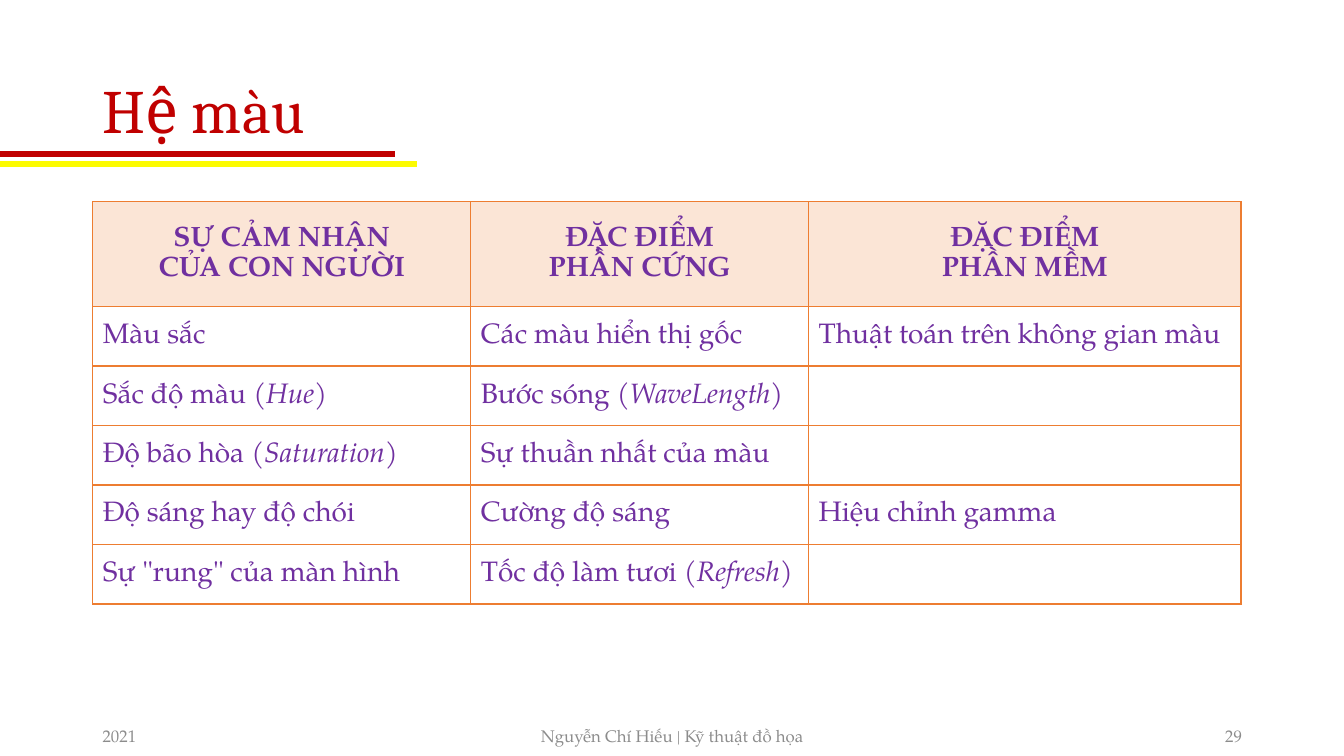
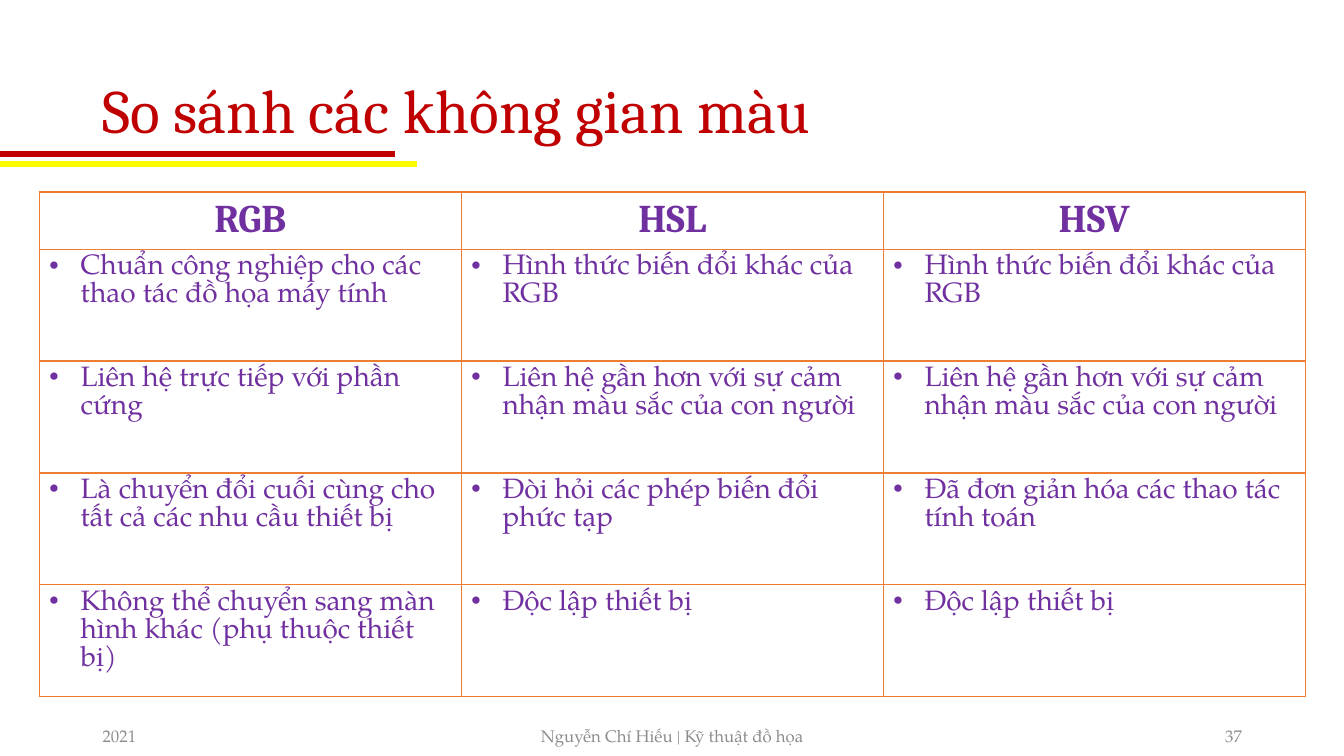
from lxml import etree
from pptx import Presentation
from pptx.dml.color import RGBColor
from pptx.enum.shapes import MSO_CONNECTOR
from pptx.enum.text import MSO_ANCHOR, PP_ALIGN
from pptx.oxml.ns import qn
from pptx.util import Inches, Pt

LEFT, MID, RIGHT = PP_ALIGN.LEFT, PP_ALIGN.CENTER, PP_ALIGN.RIGHT
TOP, CENTER = MSO_ANCHOR.TOP, MSO_ANCHOR.MIDDLE
LINE = MSO_CONNECTOR.STRAIGHT

RED, YELLOW, PURPLE = "C00000", "FCFB01", "7030A0"
ORANGE, PEACH, GREY = "ED7D31", "FBE5D6", "8C8C8C"
SERIF, BODY = "Cambria", "TeX Gyre Pagella"

deck = Presentation()
deck.slide_width, deck.slide_height = Inches(13.33), Inches(7.5)
COL, ROW = deck.slide_width / 100, deck.slide_height / 100

# Text styles: font values, paragraph values, colour
TITLE = ({"name": SERIF, "size": Pt(44)}, {"line_spacing": 0.9}, RED)
NOTE = {"name": BODY, "size": Pt(12)}
PLAIN = {"name": BODY, "size": Pt(20), "bold": False}
BOLD = {"name": BODY, "size": Pt(20), "bold": True}
LARGE = {"name": SERIF, "size": Pt(28), "bold": True}
LOOSE = {"line_spacing": 1.07, "space_after": Pt(8)}

# Left, width and alignment of the footers, in columns
FEET = [(6.9, 22.5, LEFT), (33.15, 33.75, MID), (70.65, 22.5, RIGHT)]
# Row and right end of each rule under the title
RULES = [(21.69, 31.05, YELLOW), (20.4, 29.4, RED)]

SLIDES = [
    {
        "title": "Hệ màu", "page": "29", "at": (6.9, 26.67),
        "cols": [28.13, 25.13, 32.18], "rows": [13.87] + [7.87] * 5,
        "head": (BOLD, {"alignment": MID, **LOOSE}, PURPLE),
        "body": (PLAIN, LOOSE, PURPLE),
        "fill": PEACH, "anchor": CENTER, "bullet": False,
        "cells": [
            ["SỰ CẢM NHẬN\vCỦA CON NGƯỜI", "ĐẶC ĐIỂM\vPHẦN CỨNG", "ĐẶC ĐIỂM\vPHẦN MỀM"],
            ["Màu sắc", "Các màu hiển thị gốc", "Thuật toán trên không gian màu"],
            ["Sắc độ màu *(Hue)", "Bước sóng *(WaveLength)", ""],
            ["Độ bão hòa *(Saturation)", "Sự thuần nhất của màu", ""],
            ["Độ sáng hay độ chói", "Cường độ sáng", "Hiệu chỉnh gamma"],
            ['Sự "rung" của màn hình', "Tốc độ làm tươi *(Refresh)", ""],
        ],
    },
    {
        "title": "So sánh các không gian màu", "page": "37", "at": (2.92, 25.4),
        "cols": [31.4] * 3, "rows": [7.4] + [14.8] * 4,
        "head": (LARGE, {"alignment": MID}, PURPLE),
        "body": (PLAIN, {}, PURPLE),
        "fill": None, "anchor": TOP, "bullet": True,
        "cells": [
            ["RGB", "HSL", "HSV"],
            ["Chuẩn công nghiệp cho các thao tác đồ họa máy tính",
             "Hình thức biến đổi khác của RGB",
             "Hình thức biến đổi khác của RGB"],
            ["Liên hệ trực tiếp với phần cứng",
             "Liên hệ gần hơn với sự cảm nhận màu sắc của con người",
             "Liên hệ gần hơn với sự cảm nhận màu sắc của con người"],
            ["Là chuyển đổi cuối cùng cho tất cả các nhu cầu thiết bị",
             "Đòi hỏi các phép biến đổi phức tạp",
             "Đã đơn giản hóa các thao tác tính toán"],
            ["Không thể chuyển sang màn hình khác (phụ thuộc thiết bị)",
             "Độc lập thiết bị", "Độc lập thiết bị"],
        ],
    },
]


def paint(fill, tone):
    fill.solid()
    fill.fore_color.rgb = RGBColor.from_string(tone)


def write(frame, text, style):
    """Fill the first paragraph; what follows an asterisk is italic."""
    font, para, tone = style
    line = frame.paragraphs[0]
    line.text, _, tail = text.partition("*")
    if tail:
        run = line.add_run()
        run.text, run.font.italic = tail, True
    for key, val in para.items():
        setattr(line, key, val)
    for run in line.runs:
        paint(run.font.fill, tone)
        for key, val in font.items():
            setattr(run.font, key, val)


for data in SLIDES:
    slide = deck.slides.add_slide(deck.slide_layouts[6])

    for y, end, tone in RULES:
        rule = slide.shapes.add_connector(
            LINE, 0, round(y * ROW), round(end * COL), round(y * ROW))
        rule.line.width = Pt(4.25)
        paint(rule.line.fill, tone)
        etree.SubElement(rule._element.spPr, qn("a:effectLst"))

    # Title and footers
    texts = [(data["title"], 6.9, 5.33, 86.25, 19.33, TITLE)]
    words = ["2021", "Nguyễn Chí Hiếu | Kỹ thuật đồ họa", data["page"]]
    for word, (x, wide, side) in zip(words, FEET):
        texts.append((word, x, 94.67, wide, 5.33, (NOTE, {"alignment": side}, GREY)))
    for word, x, y, wide, high, style in texts:
        box = slide.shapes.add_textbox(
            round(x * COL), round(y * ROW), round(wide * COL), round(high * ROW))
        box.text_frame.word_wrap = True
        box.text_frame.vertical_anchor = CENTER
        write(box.text_frame, word, style)

    # Table
    x, y = data["at"]
    cols, rows = data["cols"], data["rows"]
    table = slide.shapes.add_table(
        len(rows), len(cols), round(x * COL), round(y * ROW),
        round(sum(cols) * COL), round(sum(rows) * ROW)).table
    table.first_row = table.horz_banding = False
    for col, wide in zip(table.columns, cols):
        col.width = round(wide * COL)
    for row, high in zip(table.rows, rows):
        row.height = round(high * ROW)

    for r, words in enumerate(data["cells"]):
        for c, word in enumerate(words):
            cell = table.cell(r, c)
            cell.vertical_anchor = data["anchor"]
            if r == 0 and data["fill"]:
                paint(cell.fill, data["fill"])
            else:
                cell.fill.background()
            props = cell._tc.get_or_add_tcPr()
            for i, side in enumerate(("a:lnL", "a:lnR", "a:lnT", "a:lnB")):
                edge = etree.Element(qn(side), w=str(Pt(1)))
                solid = etree.SubElement(edge, qn("a:solidFill"))
                etree.SubElement(solid, qn("a:srgbClr"), val=ORANGE)
                props.insert(i, edge)
            if r and data["bullet"]:
                para = cell.text_frame.paragraphs[0]._p.get_or_add_pPr()
                para.set("marL", str(Inches(0.31)))
                para.set("indent", str(-Inches(0.31)))
                etree.SubElement(para, qn("a:buChar"), char="•")
            write(cell.text_frame, word, data["body" if r else "head"])

deck.save("out.pptx")
